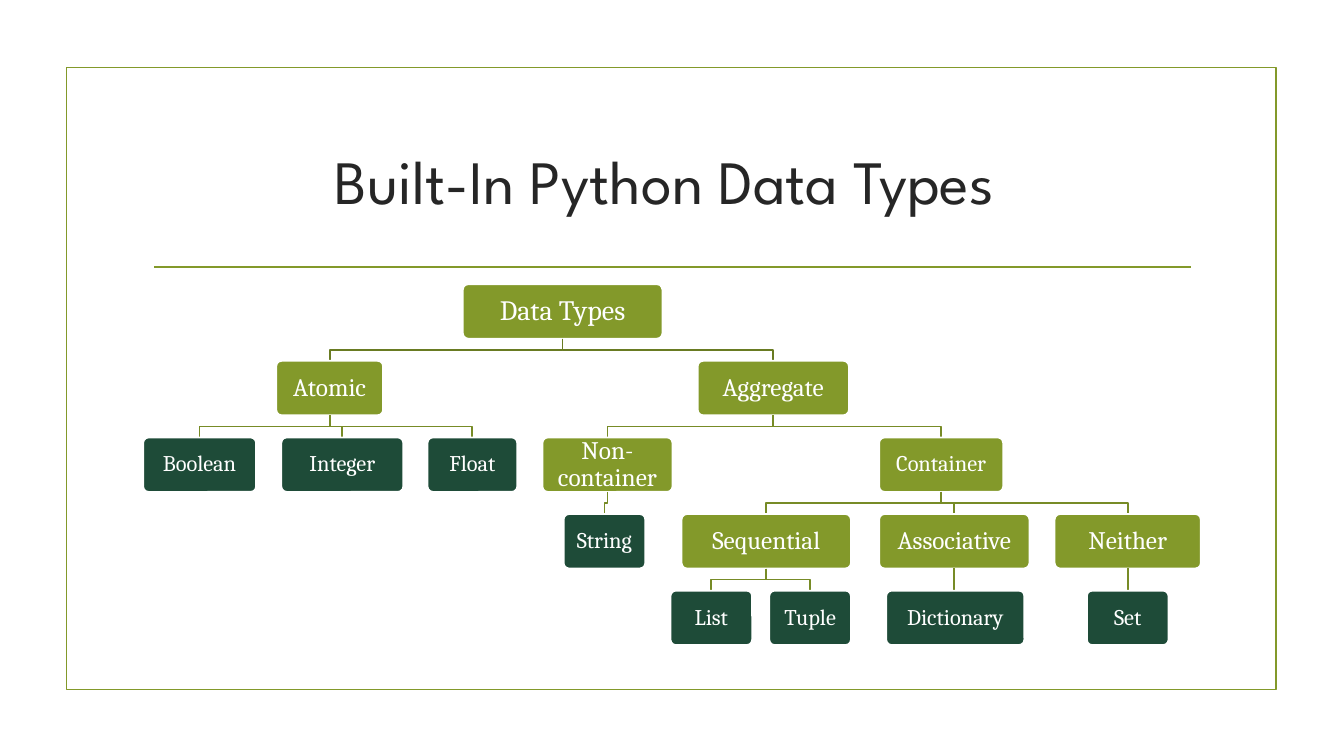
from collections import namedtuple

from lxml.etree import SubElement
from pptx import Presentation
from pptx.dml.color import RGBColor
from pptx.enum.shapes import MSO_CONNECTOR as Connector, MSO_SHAPE as Shape
from pptx.enum.text import MSO_ANCHOR as Anchor, MSO_AUTO_SIZE as AutoSize, PP_ALIGN as Align
from pptx.oxml.ns import qn
from pptx.util import Inches, Pt

GREEN, DARK_GREEN, WHITE, INK = "83992A", "1E4B38", "FFFFFF", "262626"
ROOT_LINK, LINK = "697B22", "778B26"
NODE_HEIGHT, ROW_PITCH = 0.54, 0.76

Box = namedtuple("Box", "left top width height")
Node = namedtuple("Node", "label left width size children", defaults=[()])

DATA_TYPES = Node("Data Types", 3.17, 1.98, 20, [
    Node("Atomic", 1.32, 1.06, 18, [
        Node("Boolean", 0, 1.12, 16),
        Node("Integer", 1.37, 1.21, 16),
        Node("Float", 2.82, 0.89, 16),
    ]),
    Node("Aggregate", 5.5, 1.5, 18, [
        Node("Non-container", 3.96, 1.29, 18, [Node("String", 4.17, 0.81, 16)]),
        Node("Container", 7.3, 1.23, 16, [
            Node("Sequential", 5.34, 1.68, 18, [
                Node("List", 5.23, 0.81, 16),
                Node("Tuple", 6.21, 0.81, 16),
            ]),
            Node("Associative", 7.3, 1.49, 18, [Node("Dictionary", 7.37, 1.37, 16)]),
            Node("Neither", 9.04, 1.45, 18, [Node("Set", 9.36, 0.81, 16)]),
        ]),
    ]),
])


def color(hex_value):
    """Turn a hex string into a colour."""
    return RGBColor.from_string(hex_value)


def apply(target, values):
    """Set each attribute of the target from a dict."""
    for name, value in values.items():
        setattr(target, name, value)


def style_line(shape, hex_value):
    """Give a shape or connector the common line."""
    shape.line.color.rgb = color(hex_value)
    shape.line.width = Pt(1.25)


def write(shape, text, font, size, hex_value, margin, spacing):
    """Write one centred paragraph into a shape."""
    frame = shape.text_frame
    margins = {f"margin_{side}": Inches(margin) for side in ("left", "right", "top", "bottom")}
    apply(frame, {"text": text, "word_wrap": True, "auto_size": AutoSize.NONE,
                  "vertical_anchor": Anchor.MIDDLE, **margins})
    paragraph = frame.paragraphs[0]
    apply(paragraph, {"alignment": Align.CENTER, "line_spacing": spacing})
    run_font = paragraph.runs[0].font
    apply(run_font, {"name": font, "size": Pt(size), "bold": False})
    run_font.color.rgb = color(hex_value)


def add_line(slide, start, end, hex_value):
    """Draw a straight line between two points in inches."""
    points = [Inches(value) for value in (*start, *end)]
    line = slide.shapes.add_connector(Connector.STRAIGHT, *points)
    style_line(line, hex_value)
    SubElement(line._element.spPr, qn("a:effectLst"))


def add_elbow(slide, start, end, hex_value):
    """Draw a link that turns halfway down."""
    middle = (start[1] + end[1]) / 2
    points = [(Inches(x), Inches(y)) for x, y in
              (start, (start[0], middle), (end[0], middle), end)]
    builder = slide.shapes.build_freeform(*points[0])
    builder.add_line_segments(points[1:], close=False)
    link = builder.convert_to_shape()
    link.shadow.inherit = False
    link.fill.background()
    style_line(link, hex_value)


def add_frame(slide, box):
    """Draw the border and the rule below the title."""
    border = slide.shapes.add_shape(Shape.RECTANGLE, *map(Inches, box))
    border.shadow.inherit = False
    border.fill.background()
    style_line(border, GREEN)
    rule_top = box.top + 1.98
    add_line(slide, (box.left + 0.87, rule_top), (box.left + 11.15, rule_top), GREEN)


def add_title(slide, box):
    """Place and format the title."""
    title = slide.shapes.title
    apply(title, dict(zip(box._fields, map(Inches, box))))
    write(title, "Built-In Python Data Types ", "League Spartan", 44, INK, 0.05, 1.0)


def add_node(slide, node, left, top):
    """Draw one labelled node, dark if it is a leaf."""
    shape = slide.shapes.add_shape(Shape.ROUNDED_RECTANGLE, Inches(left), Inches(top),
                                   Inches(node.width), Inches(NODE_HEIGHT))
    shape.adjustments[0] = 0.1
    shape.shadow.inherit = False
    shape.fill.solid()
    shape.fill.fore_color.rgb = color(GREEN if node.children else DARK_GREEN)
    style_line(shape, WHITE)
    write(shape, node.label, "Cambria", node.size, WHITE, 0.07, 0.9)


def add_tree(slide, box, node, level=0):
    """Draw a node, its links and its descendants within the box."""
    top = box.top + level * ROW_PITCH
    add_node(slide, node, box.left + node.left, top)
    start = (box.left + node.left + node.width / 2, top + NODE_HEIGHT)
    for child in node.children:
        end = (box.left + child.left + child.width / 2, top + ROW_PITCH)
        link_color = LINK if level else ROOT_LINK
        if abs(start[0] - end[0]) < 0.02:
            add_line(slide, start, (start[0], end[1]), link_color)
        else:
            add_elbow(slide, start, end, link_color)
        add_tree(slide, box, child, level + 1)


presentation = Presentation()
apply(presentation, {"slide_width": Inches(13.33), "slide_height": Inches(7.5)})
slide = presentation.slides.add_slide(presentation.slide_layouts[5])
add_frame(slide, Box(0.66, 0.67, 12, 6.17))
add_title(slide, Box(1.42, 1.07, 10.5, 1.43))
add_tree(slide, Box(1.42, 2.82, 10.49, 3.58), DATA_TYPES)
presentation.save("out.pptx")
